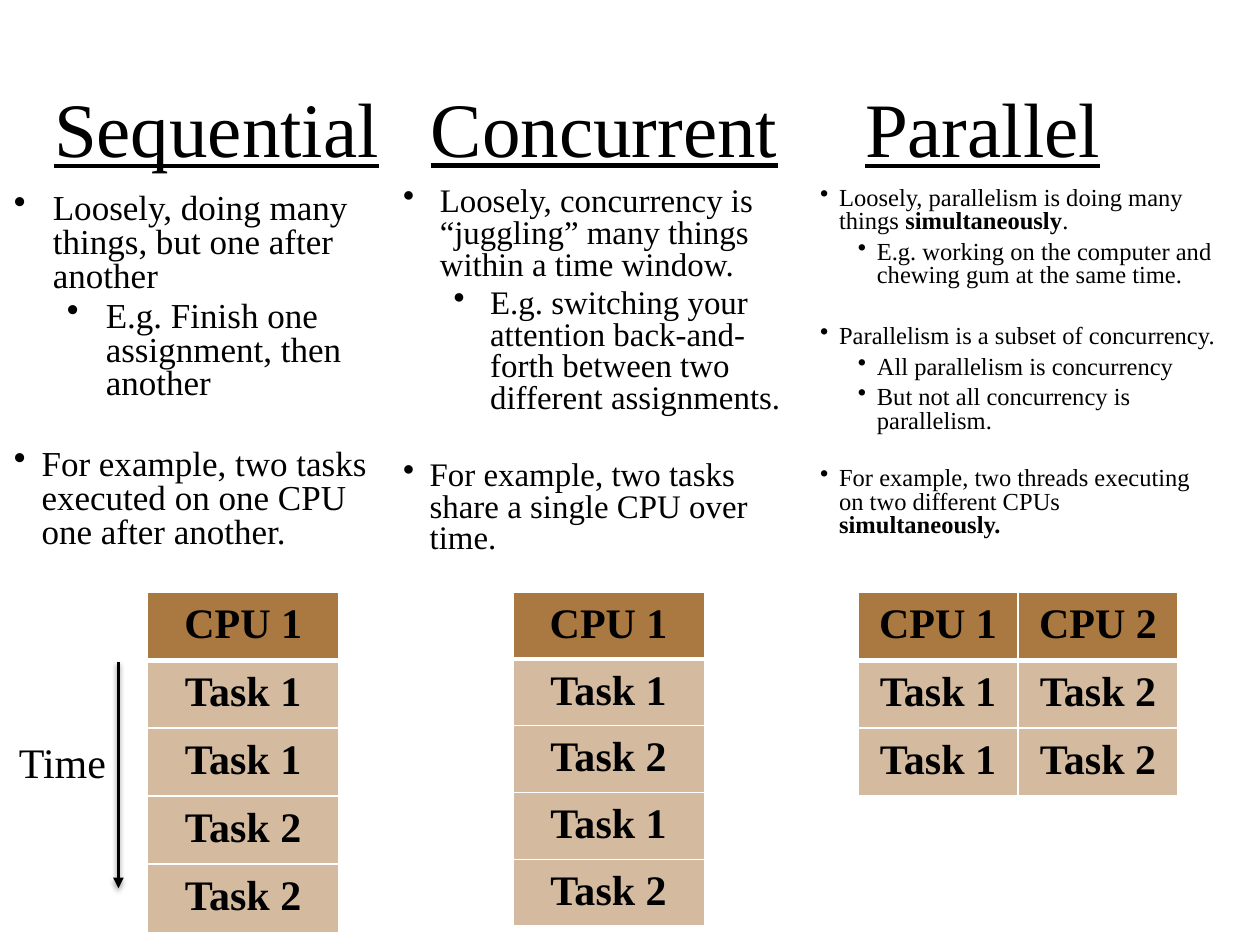
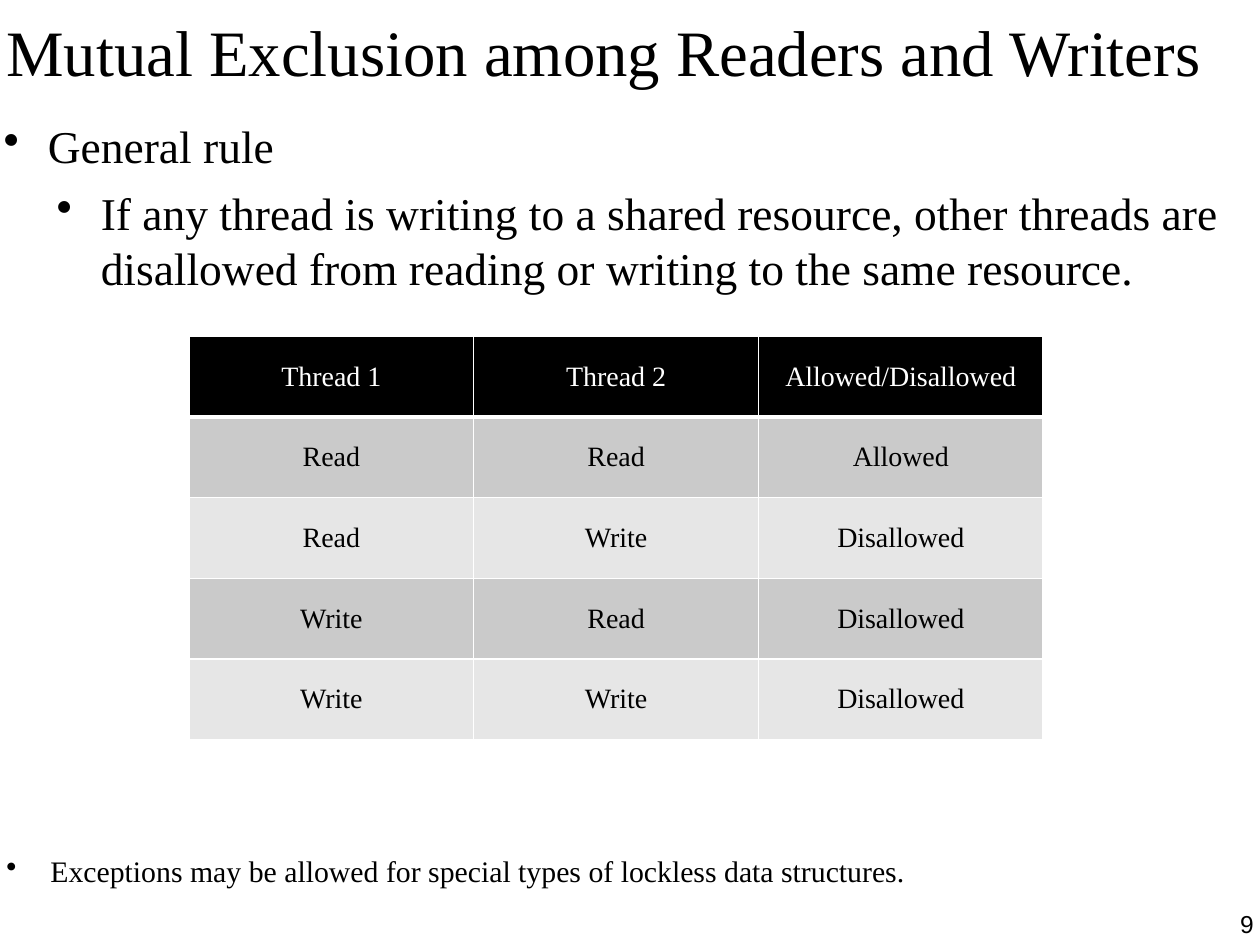
"""Build two slides on concurrency and on mutual exclusion."""
from dataclasses import dataclass

from lxml.etree import SubElement as Sub
from pptx import Presentation
from pptx.dml.color import RGBColor as Rgb
from pptx.enum.shapes import MSO_CONNECTOR as Link
from pptx.enum.text import MSO_ANCHOR as Anchor, MSO_AUTO_SIZE as Fit, PP_ALIGN as Align
from pptx.oxml.ns import qn
from pptx.util import Inches, Pt


@dataclass(frozen=True)
class Theme:
    serif: str = "Times New Roman"
    sans: str = "Arial"
    black: str = "000000"
    white: str = "FFFFFF"
    brown: str = "AA7942"
    dark: str = "CACACA"
    light: str = "E6E6E6"
    head: float = 44
    title: float = 37
    rule: float = 26
    task: float = 24
    note: float = 17
    cell: float = 16
    page: float = 14
    inset: float = 0.05
    pad: float = 0.07


@dataclass(frozen=True)
class Box:
    left: float
    top: float
    width: float
    height: float

    def emu(self) -> list:
        return [Inches(n) for n in (self.left, self.top, self.width, self.height)]


@dataclass(frozen=True)
class Face:
    size: float
    color: str = "000000"
    font: str = "Times New Roman"
    bold: bool = False
    under: bool = False


@dataclass(frozen=True)
class Item:
    text: str
    left: float
    hang: float
    before: float = 4
    level: int = 0
    strong: str = ""
    tail: str = ""


@dataclass(frozen=True)
class Column:
    head: str
    top: Box
    body: Box
    size: float
    items: tuple


@dataclass(frozen=True)
class Grid:
    left: float
    top: float
    wide: float
    high: float
    rows: tuple
    head: Face
    face: Face
    fill: str
    bands: tuple
    alpha: int = 100
    anchor: Anchor = Anchor.TOP


T = Theme()
HEAD = Face(T.head, under=True)
TASK = Face(T.task, bold=True)

COLUMNS = (
    Column("Concurrent", Box(3.37, 0.17, 3.48, 1.25), Box(3.15, 1.44, 3.11, 3.13), 18.8, (
        Item("Loosely, concurrency is “juggling” many things within a time window.", 0.29, 0.29),
        Item("E.g. switching your attention back-and-forth between two different assignments.",
             0.69, 0.29, level=1),
        Item("For example, two tasks share a single CPU over time.", 0.21, 0.21, 26))),
    Column("Parallel", Box(5.66, 0.17, 4.28, 1.25), Box(6.46, 1.44, 3.24, 3.24), 14, (
        Item("Loosely, parallelism is doing many things ", 0.15, 0.15,
             strong="simultaneously", tail="."),
        Item("E.g. working on the computer and chewing gum at the same time.", 0.45, 0.15, level=1),
        Item("Parallelism is a subset of concurrency.", 0.15, 0.15, 21.4),
        Item("All parallelism is concurrency", 0.45, 0.15, level=1),
        Item("But not all concurrency is parallelism.", 0.45, 0.15, level=1),
        Item("For example, two threads executing on two different CPUs ", 0.15, 0.15, 19.2,
             strong="simultaneously."))),
    Column("Sequential", Box(-0.42, 0.17, 4.28, 1.25), Box(0.06, 1.49, 3.11, 3.13), 20, (
        Item("Loosely, doing many things, but one after another", 0.31, 0.31),
        Item("E.g. Finish one assignment, then another", 0.73, 0.31, level=1),
        Item("For example, two tasks executed on one CPU one after another.", 0.22, 0.22, 27))),
)

ONE, TWO = "Task 1", "Task 2"
PLANS = (
    (4.07, 1.52, 0.53, (("CPU 1",), (ONE,), (TWO,), (ONE,), (TWO,))),
    (6.81, 1.27, 0.54, (("CPU 1", "CPU 2"), (ONE, TWO), (ONE, TWO))),
    (1.17, 1.52, 0.54, (("CPU 1",), (ONE,), (ONE,), (TWO,), (TWO,))),
)

ACCESS = (
    ("Thread 1", "Thread 2", "Allowed/Disallowed"),
    ("Read", "Read", "Allowed"),
    ("Read", "Write", "Disallowed"),
    ("Write", "Read", "Disallowed"),
    ("Write", "Write", "Disallowed"),
)


def add_run(para, text: str, face: Face, bold: bool = False) -> None:
    run = para.add_run()
    run.text = text
    font = run.font
    font.size, font.name = Pt(face.size), face.font
    font.bold, font.underline = face.bold or bold, face.under
    font.color.rgb = Rgb.from_string(face.color)


def set_frame(shape, anchor: Anchor = Anchor.TOP, wrap: bool = True):
    frame = shape.text_frame
    frame.word_wrap, frame.auto_size = wrap, Fit.NONE
    frame.vertical_anchor = anchor
    frame.margin_left = frame.margin_right = Inches(T.inset)
    frame.margin_top = frame.margin_bottom = Inches(T.inset)
    return frame


def add_line(shape, text: str, face: Face, align: Align = Align.LEFT,
             anchor: Anchor = Anchor.BOTTOM, wrap: bool = True) -> None:
    para = set_frame(shape, anchor, wrap).paragraphs[0]
    para.alignment = align
    add_run(para, text, face)


def add_box(slide, box: Box):
    return slide.shapes.add_textbox(*box.emu())


def add_title(slide, box: Box, text: str, face: Face) -> None:
    title = slide.shapes.title
    title.left, title.top, title.width, title.height = box.emu()
    add_line(title, text, face)


def add_list(slide, box: Box, items: tuple, size: float, space: float = 1.0) -> None:
    frame = set_frame(add_box(slide, box))
    face = Face(size)
    for i, item in enumerate(items):
        para = frame.add_paragraph() if i else frame.paragraphs[0]
        para.level, para.line_spacing = item.level, space
        para.space_before = Pt(item.before if i else 0)
        props = para._p.get_or_add_pPr()
        props.set("marL", str(Inches(item.left)))
        props.set("indent", str(-Inches(item.hang)))
        Sub(props, qn("a:buChar"), char="•")
        for text, bold in ((item.text, False), (item.strong, True), (item.tail, False)):
            if text:
                add_run(para, text, face, bold)


def add_edge(cell, side: str, width: float) -> None:
    edge = Sub(cell._tc.get_or_add_tcPr(), qn(f"a:ln{side}"), w=str(Pt(width)))
    Sub(Sub(edge, qn("a:solidFill")), qn("a:srgbClr"), val=T.white)


def set_cell(cell, text: str, row: int, grid: Grid) -> None:
    cell.margin_left = cell.margin_right = Inches(T.pad)
    cell.margin_top = cell.margin_bottom = Inches(T.pad)
    cell.vertical_anchor = grid.anchor
    para = cell.text_frame.paragraphs[0]
    para.alignment = Align.CENTER
    add_run(para, text, grid.face if row else grid.head)
    for side in "LRTB":
        add_edge(cell, side, 3 if (row, side) in ((0, "B"), (1, "T")) else 1)
    cell.fill.solid()
    color = grid.bands[(row - 1) % len(grid.bands)] if row else grid.fill
    cell.fill.fore_color.rgb = Rgb.from_string(color)
    if row and grid.alpha < 100:
        tint = cell._tc.tcPr.find(qn("a:solidFill"))[0]
        Sub(tint, qn("a:alpha"), val=str(grid.alpha * 1000))


def add_grid(slide, grid: Grid) -> None:
    rows, cols = len(grid.rows), len(grid.rows[0])
    box = Box(grid.left, grid.top, cols * grid.wide, rows * grid.high)
    table = slide.shapes.add_table(rows, cols, *box.emu()).table
    table.horz_banding = False
    for col in table.columns:
        col.width = Inches(grid.wide)
    for r, texts in enumerate(grid.rows):
        table.rows[r].height = Inches(grid.high)
        for c, text in enumerate(texts):
            set_cell(table.cell(r, c), text, r, grid)


def add_arrow(slide, x: float, top: float, end: float) -> None:
    arrow = slide.shapes.add_connector(Link.STRAIGHT, Inches(x), Inches(top), Inches(x), Inches(end))
    arrow.line.width = Pt(2)
    arrow.line.color.rgb = Rgb.from_string(T.black)
    Sub(arrow.line._get_or_add_ln(), qn("a:tailEnd"), type="triangle")
    glow = Sub(Sub(arrow._element.spPr, qn("a:effectLst")), qn("a:outerShdw"),
               blurRad=str(Pt(3)), dist=str(Pt(1.6)), dir="5400000", rotWithShape="0")
    Sub(Sub(glow, qn("a:srgbClr"), val=T.black), qn("a:alpha"), val="38000")


def draw_modes(slide) -> None:
    for i, col in enumerate(COLUMNS):
        if i:
            add_line(add_box(slide, col.top), col.head, HEAD, Align.CENTER)
        else:
            add_title(slide, col.top, col.head, HEAD)
        add_list(slide, col.body, col.items, col.size, 0.8)
    for left, wide, high, rows in PLANS:
        add_grid(slide, Grid(left, 4.7, wide, high, rows, TASK, TASK, T.brown, (T.brown,), 50))
    add_arrow(slide, 0.94, 5.25, 7.05)
    add_line(add_box(slide, Box(0.1, 5.8, 0.81, 0.46)), "Time", Face(T.task),
             anchor=Anchor.TOP, wrap=False)


def draw_rules(slide) -> None:
    add_title(slide, Box(0, 0, 10, 0.76), "Mutual Exclusion among Readers and Writers", Face(T.title))
    add_list(slide, Box(-0.02, 0.89, 10, 1.45), (
        Item("General rule", 0.35, 0.35),
        Item("If any thread is writing to a shared resource, other threads are disallowed "
             "from reading or writing to the same resource.", 0.77, 0.35, 7, 1)), T.rule)
    add_grid(slide, Grid(1.5, 2.67, 2.26, 0.64, ACCESS, Face(T.cell, T.white), Face(T.cell),
                         T.black, (T.dark, T.light), anchor=Anchor.MIDDLE))
    add_list(slide, Box(0, 6.72, 10, 0.76), (
        Item("Exceptions may be allowed for special types of lockless data structures.",
             0.35, 0.35),), T.note)
    add_line(add_box(slide, Box(7.92, 7.14, 2.08, 0.36)), "9", Face(T.page, font=T.sans), Align.RIGHT)


def main() -> None:
    deck = Presentation()
    deck.slide_width, deck.slide_height = Inches(10), Inches(7.5)
    for draw in (draw_modes, draw_rules):
        draw(deck.slides.add_slide(deck.slide_layouts[5]))
    deck.save("out.pptx")


if __name__ == "__main__":
    main()
